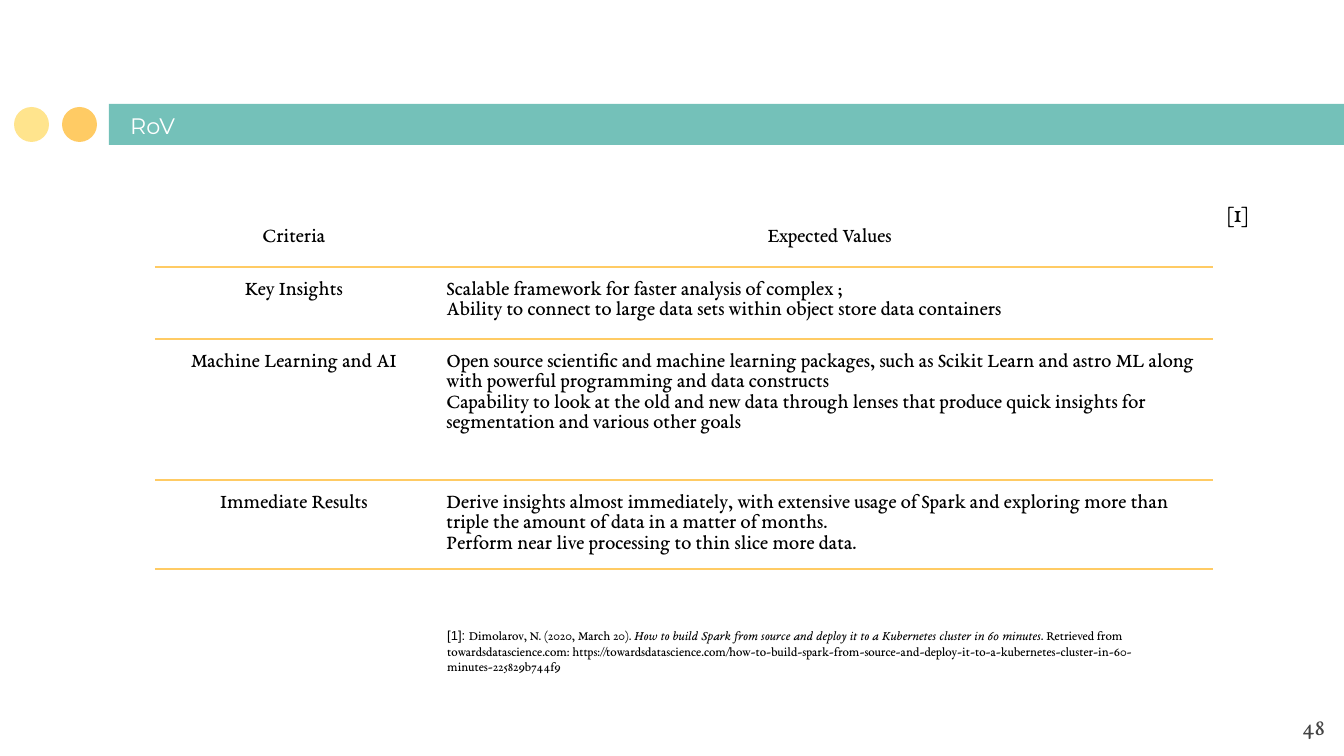
"""Build the RoV slide: a title band, a criteria table and its cited source."""
from lxml.etree import SubElement
from pptx import Presentation
from pptx.dml.color import RGBColor
from pptx.enum.shapes import MSO_SHAPE
from pptx.enum.text import MSO_ANCHOR, PP_ALIGN
from pptx.oxml.ns import qn
from pptx.util import Pt

PX = 914400 / 134.4
INSET = round(13.44 * PX)
TEAL = RGBColor(0x74, 0xC1, 0xB9)
AMBER = RGBColor(0xFF, 0xCB, 0x64)
YELLOW = RGBColor(0xFF, 0xE4, 0x8D)
BLACK = RGBColor(0, 0, 0)
GRAY = RGBColor(0x43, 0x43, 0x43)
WHITE = RGBColor(0xFF, 0xFF, 0xFF)
SERIF = "EB Garamond"


def px(*lengths):
    return [round(length * PX) for length in lengths]


def add_run(paragraph, text, size, font=SERIF, color=BLACK, italic=False,
            align=PP_ALIGN.LEFT, spacing=None):
    paragraph.alignment = align
    if spacing:
        paragraph.line_spacing = spacing
    run = paragraph.add_run()
    run.text = text
    run.font.size = Pt(size)
    run.font.name = font
    run.font.color.rgb = color
    run.font.italic = italic


deck = Presentation()
deck.slide_width, deck.slide_height = px(1344, 756)
slide = deck.slides.add_slide(deck.slide_layouts[6])

for preset, box, color in (
    (MSO_SHAPE.RECTANGLE, (109, 104, 1235, 41), TEAL),
    (MSO_SHAPE.OVAL, (62, 107, 35, 35), AMBER),
    (MSO_SHAPE.OVAL, (14, 107, 35, 35), YELLOW),
):
    ornament = slide.shapes.add_shape(preset, *px(*box))
    ornament.shadow.inherit = False
    ornament.fill.solid()
    ornament.fill.fore_color.rgb = color
    ornament.line.fill.background()

rows = [
    (59, "Criteria", ["Expected Values"]),
    (72, "Key Insights", [
        "Scalable framework for faster analysis of complex ;",
        "Ability to connect to large data sets within object store data containers"]),
    (141, "Machine Learning and AI", [
        "Open source scientific and machine learning packages, such as Scikit Learn and astro ML "
        "along with powerful programming and data constructs",
        "Capability to look at the old and new data through lenses that produce quick insights "
        "for segmentation and various other goals"]),
    (89, "Immediate Results", [
        "Derive insights almost immediately, with extensive usage of Spark and exploring more "
        "than triple the amount of data in a matter of months.",
        "Perform near live processing to thin slice more data."]),
]
column_widths = px(278, 780)
total_height = sum(height for height, _, _ in rows)
criteria = slide.shapes.add_table(
    len(rows), 2, *px(155, 208, 1058, total_height)).table
criteria.first_row = False
criteria.horz_banding = False
for column, width in zip(criteria.columns, column_widths):
    column.width = width

for r, (height, criterion, values) in enumerate(rows):
    criteria.rows[r].height = px(height)[0]
    for c, lines in enumerate(([criterion], values)):
        cell = criteria.cell(r, c)
        cell.margin_left = cell.margin_top = cell.margin_bottom = INSET
        cell.margin_right = 0 if (r, c) == (0, 1) else INSET
        cell.vertical_anchor = MSO_ANCHOR.MIDDLE if r == 0 else MSO_ANCHOR.TOP
        for side in ("L", "R", "T", "B"):
            border = SubElement(cell._tc.get_or_add_tcPr(), qn(f"a:ln{side}"), w=str(Pt(1.5)))
            if side == "B" or (side == "T" and r > 0):
                fill = SubElement(border, qn("a:solidFill"))
                SubElement(fill, qn("a:srgbClr"), val=str(AMBER))
            else:
                SubElement(border, qn("a:noFill"))
        cell.fill.background()
        align = PP_ALIGN.CENTER if r == 0 or c == 0 else PP_ALIGN.LEFT
        for i, line in enumerate(lines):
            frame = cell.text_frame
            paragraph = frame.add_paragraph() if i else frame.paragraphs[0]
            add_run(paragraph, line, 11, align=align, spacing=Pt(11))

source = [
    ("[1]: ", {"font": "Arial"}),
    ("Dimolarov, N. (2020, March 20). ", {}),
    ("How to build Spark from source and deploy it to a Kubernetes cluster in 60 minutes",
     {"italic": True}),
    (". Retrieved from towardsdatascience.com: https://towardsdatascience.com/"
     "how-to-build-spark-from-source-and-deploy-it-to-a-kubernetes-cluster-in-60-minutes-"
     "225829b744f9", {}),
]
for box, anchor, size, runs in (
    ((117, 106, 736, 46), MSO_ANCHOR.BOTTOM, 12,
     [("RoV", {"font": "Montserrat", "color": WHITE})]),
    ((1258, 698, 80, 58), MSO_ANCHOR.TOP, 13,
     [("48", {"color": GRAY, "align": PP_ALIGN.RIGHT})]),
    ((434, 614, 776, 106), MSO_ANCHOR.TOP, 7, source),
    ((1214, 183, 90, 59), MSO_ANCHOR.TOP, 14, [("[1]", {})]),
):
    frame = slide.shapes.add_textbox(*px(*box)).text_frame
    frame.word_wrap = True
    frame.vertical_anchor = anchor
    frame.margin_left = frame.margin_right = INSET
    frame.margin_top = frame.margin_bottom = INSET
    for text, style in runs:
        add_run(frame.paragraphs[0], text, size, **style)

deck.save("out.pptx")
